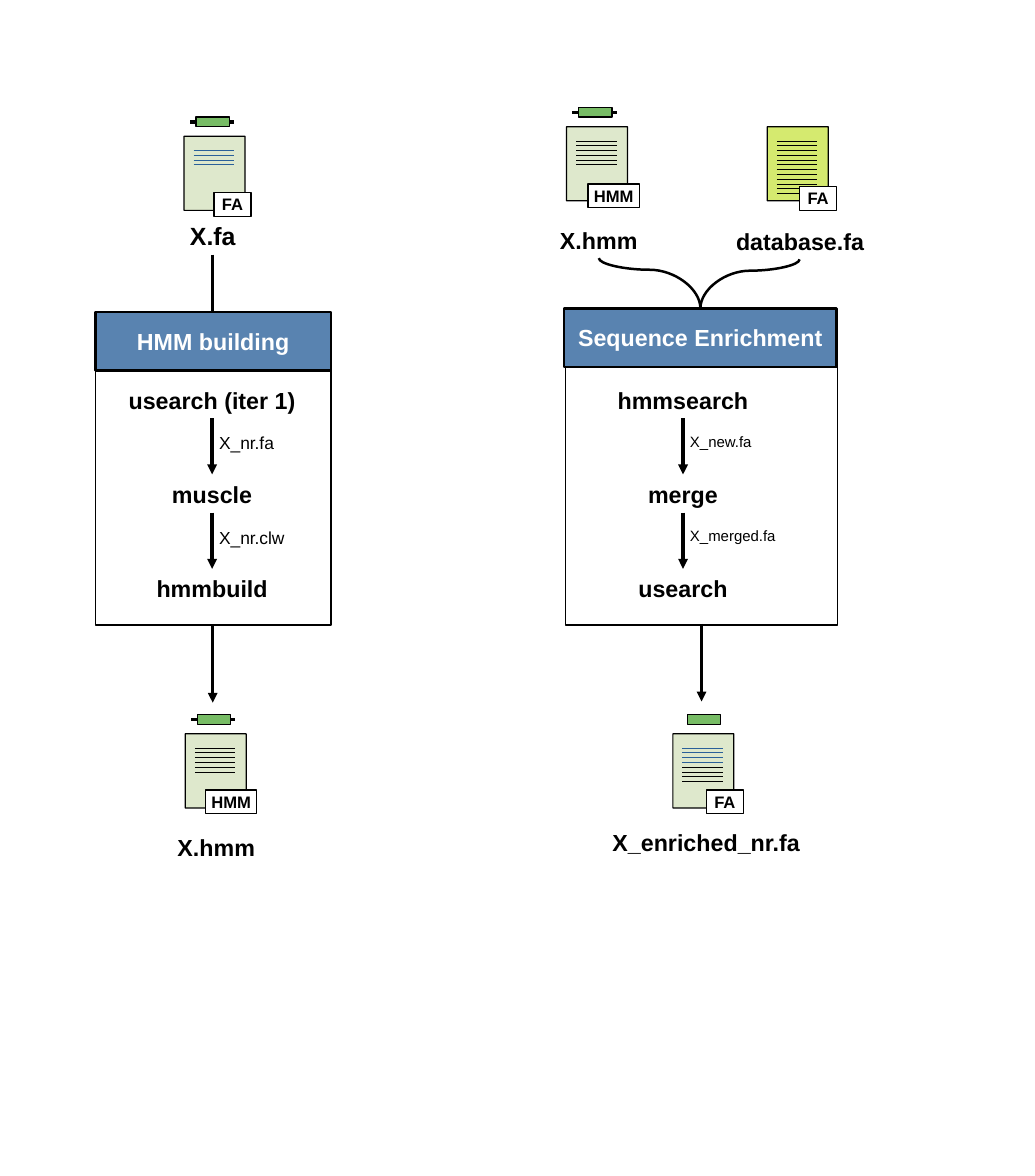
import pptx
import pptx.dml.color
import pptx.enum.shapes
import pptx.enum.text
import pptx.oxml.ns
import pptx.util
import lxml.etree

Inches = pptx.util.Inches
Pt = pptx.util.Pt
SHAPES = pptx.enum.shapes.MSO_SHAPE
LINKS = pptx.enum.shapes.MSO_CONNECTOR
ALIGN = pptx.enum.text.PP_ALIGN

THEME = {
    "font": "Arial", "ink": "000000", "white": "FFFFFF", "header": "5983B0",
    "paper": "DDE8CB", "database": "D4EA6B", "clip": "77BC65", "blue": "2A6099",
    "name": 14, "input": 15, "tag": 10, "hair": 0, "stroke": 0.5, "frame": 0.79, "bold": 1.5,
}

STAGES = [
    {"title": "HMM building", "header": (0.8, 2.61), "frame": (0.8, 2.63), "width": 1.97,
     "steps_left": 0.87, "steps": ["usearch (iter 1)", "muscle", "hmmbuild"],
     "files": [("X_nr.fa", 0.75), ("X_nr.clw", 0.75)], "file_size": 10.5},
    {"title": "Sequence Enrichment", "header": (4.72, 2.58), "frame": (4.73, 2.63), "width": 2.28,
     "steps_left": 4.81, "steps": ["hmmsearch", "merge", "usearch"],
     "files": [("X_new.fa", 0.86), ("X_merged.fa", 0.94)], "file_size": 9},
]

DOCUMENTS = [
    {"at": (1.54, 1.14), "strokes": ["blue"] * 4, "clip": 0.1, "thread": True,
     "tag": ("FA", 1.79, 1.61, 0.31), "paper": "paper"},
    {"at": (1.55, 6.14), "strokes": ["ink"] * 6, "clip": 0.1, "thread": True,
     "tag": ("HMM", 1.72, 6.61, 0.43), "paper": "paper"},
    {"at": (4.74, 1.06), "strokes": ["ink"] * 6, "clip": 0.1, "thread": True,
     "tag": ("HMM", 4.92, 1.54, 0.43), "paper": "paper"},
    {"at": (6.42, 1.06), "strokes": ["ink"] * 12, "clip": None, "thread": False,
     "tag": ("FA", 6.69, 1.56, 0.31), "paper": "database"},
    {"at": (5.63, 6.14), "strokes": ["blue"] * 4 + ["ink"] * 4, "clip": 0.12, "thread": False,
     "tag": ("FA", 5.91, 6.61, 0.31), "paper": "paper"},
]

NAMES = [
    ("X.fa", 1.27, 1.8, 1.02, "input"),
    ("X.hmm", 1.3, 6.92, 1.02, "name"),
    ("X.hmm", 4.5, 1.84, 1.02, "name"),
    ("database.fa", 5.79, 1.85, 1.81, "name"),
    ("X_enriched_nr.fa", 4.93, 6.88, 1.96, "name"),
]

FLOWS = [(1.78, 2.13, 2.67, False), (1.78, 5.23, 5.88, True), (5.87, 5.22, 5.87, True)]
CURVES = [((5.01, 2.16), (5.86, 2.58)), ((6.69, 2.17), (5.86, 2.58))]

STEP_TOP, STEP_GAP, STEP_WIDTH, NAME_HEIGHT = 3.18, 0.79, 1.81, 0.32


def color(key):
    return pptx.dml.color.RGBColor.from_string(THEME[key])


def find_part(shape, tag):
    return shape._element.spPr.find(".//" + pptx.oxml.ns.qn(tag))


def add_child(parent, tag, **attributes):
    return lxml.etree.SubElement(parent, pptx.oxml.ns.qn(tag), attributes)


def set_guide(shape, name, value):
    guides = find_part(shape, "a:avLst")
    if guides is None:
        guides = add_child(find_part(shape, "a:prstGeom"), "a:avLst")
    add_child(guides, "a:gd", name=name, fmla=f"val {value}")


def write(shape, text, size, ink="ink", bold=True, align=ALIGN.CENTER, inset=(0.1, 0.05)):
    frame = shape.text_frame
    frame.margin_left = frame.margin_right = Inches(inset[0])
    frame.margin_top = frame.margin_bottom = Inches(inset[1])
    frame.word_wrap = True
    para = frame.paragraphs[0]
    para.alignment = align
    span = para.add_run()
    span.text = text
    span.font.name = THEME["font"]
    span.font.size = Pt(size)
    span.font.bold = bold
    span.font.color.rgb = color(ink)
    return frame


def add_label(shapes, text, left, top, width, height, size, **style):
    box = shapes.add_textbox(Inches(left), Inches(top), Inches(width), Inches(height))
    frame = write(box, text, size, **style)
    frame.auto_size = pptx.enum.text.MSO_AUTO_SIZE.SHAPE_TO_FIT_TEXT


def add_box(shapes, left, top, width, height, fill=None, weight="hair", kind=SHAPES.RECTANGLE):
    box = shapes.add_shape(kind, Inches(left), Inches(top), Inches(width), Inches(height))
    box.shadow.inherit = False
    if fill:
        box.fill.solid()
        box.fill.fore_color.rgb = color(fill)
    else:
        box.fill.background()
    box.line.color.rgb = color("ink")
    box.line.width = Pt(THEME[weight])
    box.text_frame.vertical_anchor = pptx.enum.text.MSO_ANCHOR.MIDDLE
    return box


def add_line(shapes, start, end, weight, ink="ink", arrow=False, kind=LINKS.STRAIGHT):
    line = shapes.add_connector(kind, *(Inches(value) for value in (*start, *end)))
    line.line.color.rgb = color(ink)
    line.line.width = Pt(THEME[weight])
    if arrow:
        add_child(find_part(line, "a:ln"), "a:tailEnd", type="triangle")
    add_child(line._element.spPr, "a:effectLst")
    return line


def add_curve(shapes, start, end):
    run, drop = abs(end[0] - start[0]), end[1] - start[1]
    left = (start[0] + end[0] - drop) / 2
    right = left + drop
    top = (start[1] + end[1] - run) / 2
    rightward = end[0] > start[0]
    first, last = (right, left) if rightward else (left, right)
    curve = add_line(shapes, (first, top), (last, top + run), "bold", kind=LINKS.CURVE)
    find_part(curve, "a:xfrm").set("rot", str((270 if rightward else 90) * 60000))
    set_guide(curve, "adj1", 23200)


def add_stage(shapes, stage):
    width, left = stage["width"], stage["steps_left"]
    add_box(shapes, *stage["frame"], width, 2.6, weight="frame")
    header = add_box(shapes, *stage["header"], width, 0.49, "header", "bold")
    write(header, stage["title"], THEME["name"], ink="white", inset=(0.11, 0.06))
    center = left + STEP_WIDTH / 2
    for index, step in enumerate(stage["steps"]):
        top = STEP_TOP + STEP_GAP * index
        add_label(shapes, step, left, top, STEP_WIDTH, NAME_HEIGHT, THEME["name"])
    for index, (name, file_width) in enumerate(stage["files"]):
        top = STEP_TOP + STEP_GAP * index
        add_line(shapes, (center, top + NAME_HEIGHT), (center, top + STEP_GAP), "hair", arrow=True)
        add_label(shapes, name, center - 0.04, top + 0.39, file_width, 0.26,
                  stage["file_size"], bold=False, align=ALIGN.LEFT)


def add_document(shapes, document):
    left, top = document["at"]
    group = shapes.add_group_shape().shapes
    paper = add_box(group, left, top, 0.51, 0.62, document["paper"], kind=SHAPES.FOLDED_CORNER)
    set_guide(paper, "adj", 12500)
    add_child(find_part(paper, "a:srgbClr"), "a:alpha", val="97000")
    for index, ink in enumerate(document["strokes"]):
        height = top + 0.12 + 0.04 * index
        add_line(group, (left + 0.08, height), (left + 0.42, height), "stroke", ink)
    if document["thread"]:
        add_line(shapes, (left + 0.05, top - 0.12), (left + 0.42, top - 0.12), "hair")
    if document["clip"]:
        add_box(shapes, left + document["clip"], top - 0.16, 0.28, 0.08, "clip")
    text, tag_left, tag_top, tag_width = document["tag"]
    tag = add_box(shapes, tag_left, tag_top, tag_width, 0.2, "white")
    write(tag, text, THEME["tag"]).word_wrap = False


def main():
    deck = pptx.Presentation()
    deck.slide_width, deck.slide_height = Inches(8.66), Inches(9.84)
    shapes = deck.slides.add_slide(deck.slide_layouts[6]).shapes
    for center, top, bottom, arrow in FLOWS:
        add_line(shapes, (center, top), (center, bottom), "bold", arrow=arrow)
    for stage in STAGES:
        add_stage(shapes, stage)
    for document in DOCUMENTS:
        add_document(shapes, document)
    for text, left, top, width, size in NAMES:
        add_label(shapes, text, left, top, width, NAME_HEIGHT, THEME[size])
    for start, end in CURVES:
        add_curve(shapes, start, end)
    deck.save("out.pptx")


if __name__ == "__main__":
    main()
